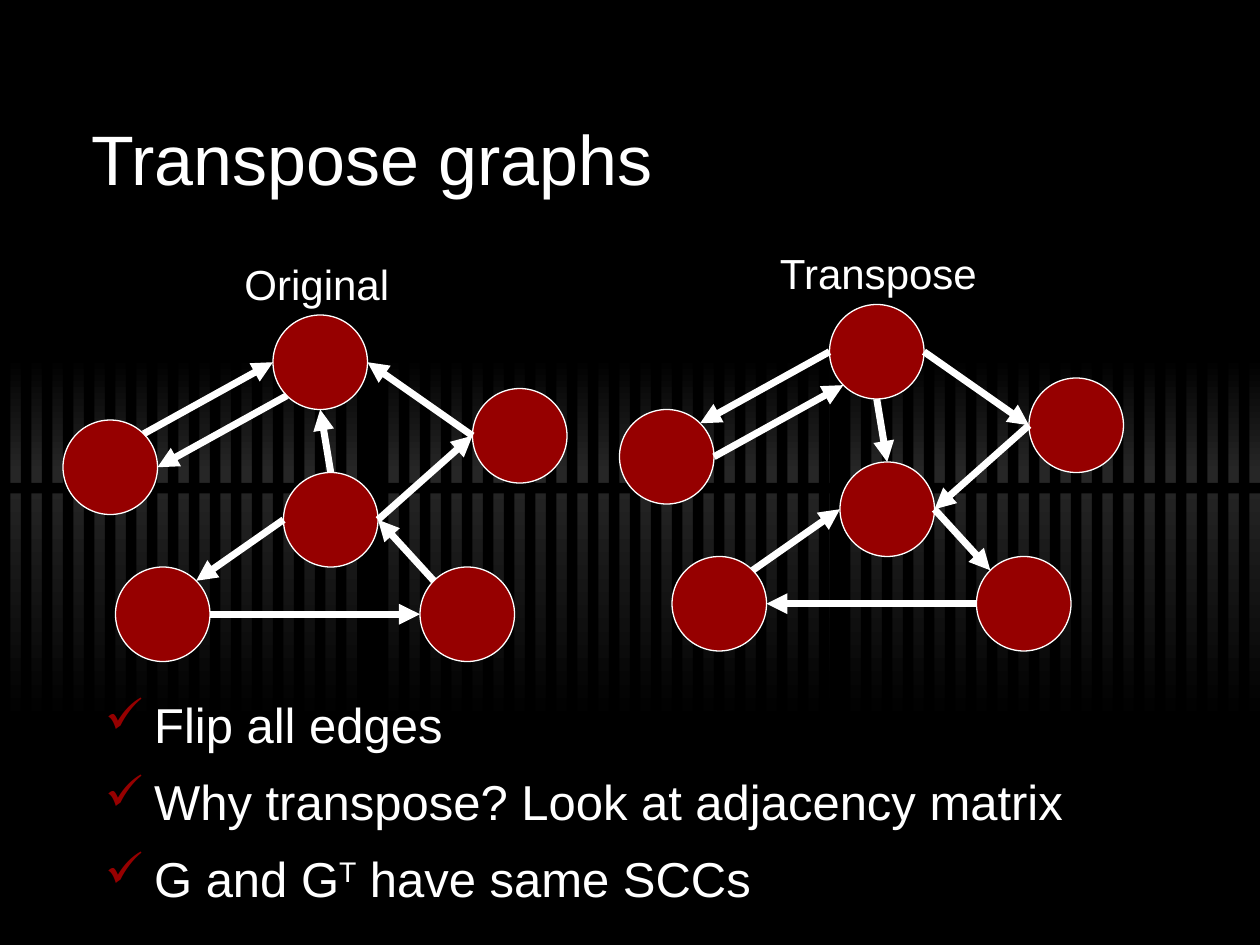
from math import cos, radians, sin

from lxml.etree import SubElement
from pptx import Presentation
from pptx.dml.color import RGBColor
from pptx.enum.shapes import MSO_CONNECTOR as Connector, MSO_SHAPE as Preset
from pptx.enum.text import MSO_ANCHOR as Anchor
from pptx.oxml.ns import qn
from pptx.util import Pt

PX = 7620  # EMU per px, 120 px to the inch
WIDTH, HEIGHT = 1200, 900
BLACK, GREY, WHITE, RED = "000000", "262626", "FFFFFF", "960000"
DIAMETER = 90

# Top left corners of the nodes in the first graph
NODES = {
    "west": (60, 400), "top": (260, 300), "southwest": (110, 540),
    "southeast": (400, 540), "center": (270, 450), "east": (450, 370),
}
# Each edge: start node, angle on its rim, end node, angle on its rim
EDGES = [
    ("southwest", 0, "southeast", 180),
    ("southeast", 225, "center", 0),
    ("center", 180, "southwest", 315),
    ("west", 315, "top", 180),
    ("top", 135, "west", 0),
    ("center", 270, "top", 90),
    ("east", 180, "top", 0),
    ("center", 0, "east", 180),
]
BULLETS = [
    [("Flip all edges", 0)],
    [("Why transpose? Look at adjacency matrix", 0)],
    [("G and G", 0), ("T", 30), (" have same SCCs", 0)],
]


def px(*lengths):
    return [round(length * PX) for length in lengths]


def color(hex_string):
    return RGBColor.from_string(hex_string)


def add_shape(slide, preset, box, fill, line=None):
    shape = slide.shapes.add_shape(preset, *px(*box))
    shape.shadow.inherit = False
    shape.fill.solid()
    shape.fill.fore_color.rgb = color(fill)
    if line:
        shape.line.color.rgb = color(line)
        shape.line.width = Pt(0.75)
    else:
        shape.line.fill.background()
    return shape


def add_gradient(slide, box, top, bottom):
    shape = add_shape(slide, Preset.RECTANGLE, box, top)
    shape.fill.gradient()
    shape.fill.gradient_angle = 270
    for stop, shade in zip(shape.fill.gradient_stops, (top, bottom)):
        stop.color.rgb = color(shade)


def add_arrow(slide, start, end, arrowhead):
    connector = slide.shapes.add_connector(Connector.STRAIGHT, *px(*start, *end))
    connector.line.color.rgb = color(WHITE)
    connector.line.width = Pt(4)
    SubElement(connector.line._get_or_add_ln(), qn(f"a:{arrowhead}"), type="triangle")
    SubElement(connector._element.spPr, qn("a:effectLst"))


def set_font(paragraph, size):
    paragraph.font.name = "Arial"
    paragraph.font.size = Pt(size)
    paragraph.font.color.rgb = color(WHITE)


def add_text(slide, box, text, size, anchor=Anchor.TOP, wrap=True):
    frame = slide.shapes.add_textbox(*px(*box)).text_frame
    frame.word_wrap = wrap
    frame.vertical_anchor = anchor
    frame.text = text
    set_font(frame.paragraphs[0], size)


def add_check_bullet(paragraph):
    properties = paragraph._p.get_or_add_pPr()
    margin, indent = px(60, -47)
    properties.set("marL", str(margin))
    properties.set("indent", str(indent))
    bullet_color = SubElement(properties, qn("a:buClr"))
    SubElement(bullet_color, qn("a:srgbClr"), val=RED)
    SubElement(properties, qn("a:buChar"), char="✓")


def add_bullets(slide, box, bullets):
    frame = slide.shapes.add_textbox(*px(*box)).text_frame
    frame.word_wrap = True
    for index, parts in enumerate(bullets):
        paragraph = frame.add_paragraph() if index else frame.paragraphs[0]
        add_check_bullet(paragraph)
        paragraph.line_spacing = 1.1
        paragraph.space_before = Pt(7)
        set_font(paragraph, 28)
        for text, raised in parts:
            run = paragraph.add_run()
            run.text = text
            if raised:
                run._r.get_or_add_rPr().set("baseline", str(raised * 1000))


def add_backdrop(slide):
    slide.background.fill.solid()
    slide.background.fill.fore_color.rgb = color(BLACK)
    add_gradient(slide, (0, 340, WIDTH, 110), BLACK, GREY)
    add_gradient(slide, (0, 450, WIDTH, 240), GREY, BLACK)
    # Even stripes, two of which are wider
    wide = {340: (340, 20), 800: (790, 20)}
    for x in range(0, WIDTH, 20):
        left, width = wide.get(x, (x, 10))
        add_shape(slide, Preset.RECTANGLE, (left, 300, width, 470), BLACK)
    add_shape(slide, Preset.RECTANGLE, (0, 460, WIDTH, 10), BLACK)


def add_graph(slide, dx, dy, arrowhead):
    def rim(node, angle):
        x, y = NODES[node]
        radius = DIAMETER / 2
        return (x + dx + radius * (1 + cos(radians(angle))),
                y + dy + radius * (1 + sin(radians(angle))))

    for x, y in NODES.values():
        add_shape(slide, Preset.OVAL, (x + dx, y + dy, DIAMETER, DIAMETER), RED, WHITE)
    for start, start_angle, end, end_angle in EDGES:
        add_arrow(slide, rim(start, start_angle), rim(end, end_angle), arrowhead)


def main():
    presentation = Presentation()
    presentation.slide_width, presentation.slide_height = px(WIDTH, HEIGHT)
    slide = presentation.slides.add_slide(presentation.slide_layouts[6])

    add_backdrop(slide)
    add_text(slide, (75, 90, 1050, 120), "Transpose graphs", 40, Anchor.MIDDLE)

    # The transpose has the same edges with the arrowheads at the other end
    add_graph(slide, 0, 0, "tailEnd")
    add_graph(slide, 530, -10, "headEnd")

    add_bullets(slide, (75, 650, 1050, 220), BULLETS)
    add_text(slide, (221, 240, 162, 60), "Original", 24, wrap=False)
    add_text(slide, (731, 230, 212, 60), "Transpose", 24, wrap=False)

    presentation.save("out.pptx")


if __name__ == "__main__":
    main()
